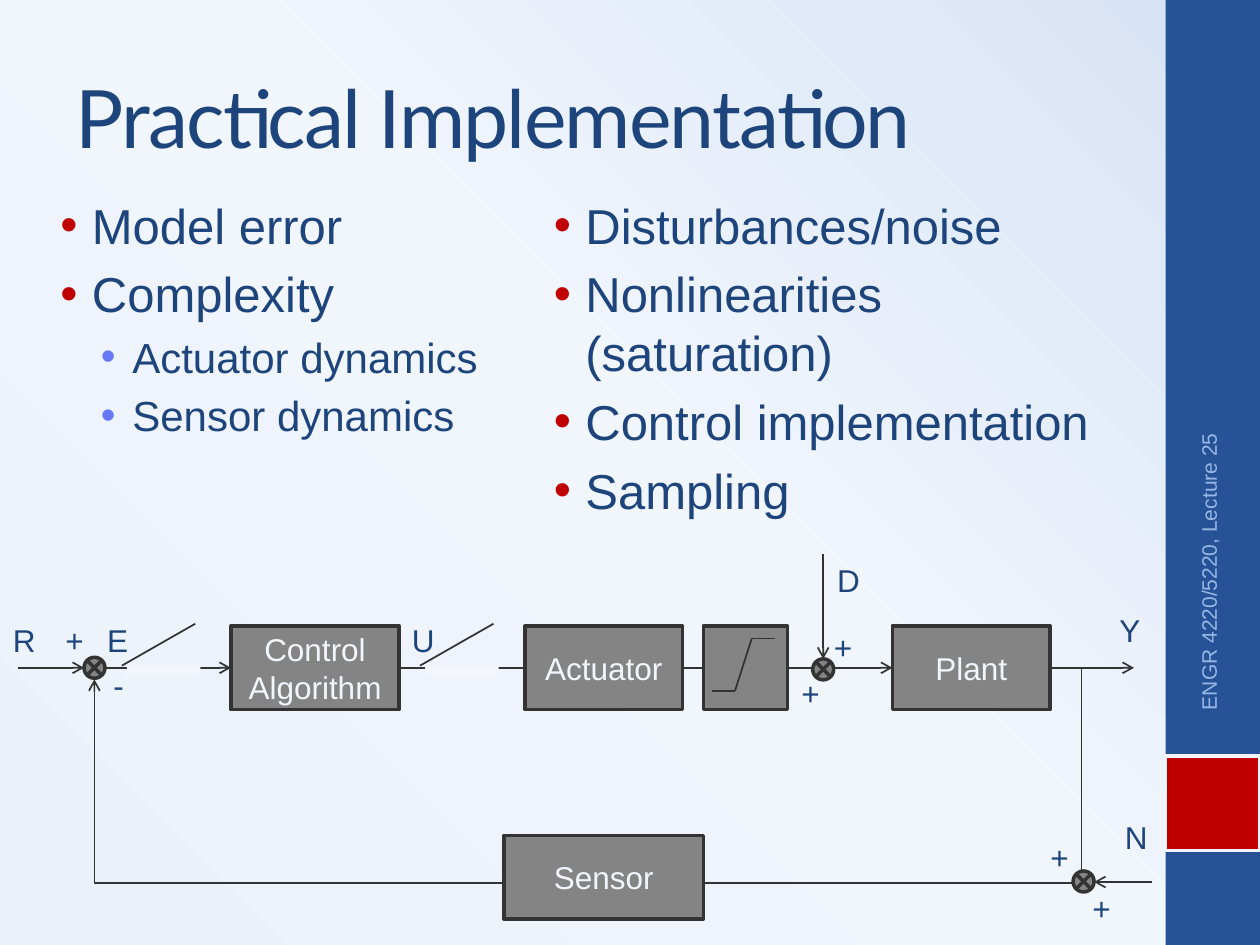
from lxml.etree import SubElement
from pptx import Presentation
from pptx.dml.color import RGBColor
from pptx.enum.shapes import MSO_CONNECTOR as CONN, MSO_SHAPE as SHAPE
from pptx.enum.text import MSO_ANCHOR as ANCHOR, MSO_AUTO_SIZE as AUTO, PP_ALIGN as ALIGN
from pptx.oxml import parse_xml
from pptx.oxml.ns import nsdecls, qn
from pptx.util import Inches, Pt

COLS, ROWS = 120, 90
MID, BOX_H = 63.6, 8
BOX_TOP = MID - BOX_H / 2
BLUE, NAVY, RED, PALE = "265397", "1E447C", "C00000", "F2F6FC"
GRAY, DARK, LILAC, SKY = "848484", "333333", "6678F5", "98B7E5"


def rgb(value):
    return RGBColor.from_string(value)


def grid(*cells):
    return [Inches(c / 12) for c in cells]


def place(sp, *cells):
    sp.left, sp.top, sp.width, sp.height = grid(*cells)


def add_run(p, text, size, color=NAVY, font="Arial"):
    r = p.add_run()
    r.text = text
    r.font.size, r.font.name = Pt(size), font
    r.font.color.rgb = rgb(color)
    return r


def set_background(s):
    fill = s.background.fill
    fill.gradient()
    grad = next(s.element.iter(qn("a:gradFill")))
    stops = "".join(
        f'<a:gs pos="{pos * 1000}"><a:srgbClr val="{color}"/></a:gs>'
        for pos, color in ((0, "EAF1FA"), (52, "F1F6FD"), (100, "D6E2F5")))
    grad.getparent().replace(grad, parse_xml(
        f'<a:gradFill {nsdecls("a")} rotWithShape="1"><a:gsLst>{stops}</a:gsLst>'
        '<a:path path="circle"><a:fillToRect t="100000" r="100000"/></a:path></a:gradFill>'))


def add_block(shapes, cells, fill, line=None, lines=(), kind=SHAPE.RECTANGLE):
    sp = shapes.add_shape(kind, *grid(*cells))
    sp.shadow.inherit = False
    sp.fill.solid()
    sp.fill.fore_color.rgb = rgb(fill)
    if line:
        sp.line.color.rgb, sp.line.width = rgb(line), Pt(2)
    else:
        sp.line.fill.background()
    tf = sp.text_frame
    tf.vertical_anchor = ANCHOR.MIDDLE
    for i, text in enumerate(lines):
        p = tf.add_paragraph() if i else tf.paragraphs[0]
        p.alignment = ALIGN.CENTER
        add_run(p, text, 18, PALE)
    return sp


def add_box(shapes, col, width, lines=(), row=BOX_TOP):
    return add_block(shapes, (col, row, width, BOX_H), GRAY, DARK, lines)


def add_junction(shapes, col, row):
    add_block(shapes, (col - 1, row - 1, 2, 2), GRAY, DARK,
              kind=SHAPE.FLOWCHART_SUMMING_JUNCTION)


def add_line(shapes, start, end, arrow=False, begin=None, finish=None, kind=CONN.STRAIGHT):
    c = shapes.add_connector(kind, *grid(*start, *end))
    if begin:
        c.begin_connect(*begin)
    if finish:
        c.end_connect(*finish)
    c.line.color.rgb, c.line.width = rgb(DARK), Pt(1)
    props = c._element.spPr
    if arrow:
        SubElement(props.find(qn("a:ln")), qn("a:tailEnd"), type="arrow")
    SubElement(props, qn("a:effectLst"))
    return c


def add_feedback(shapes, start, end, via):
    c = add_line(shapes, start, end, True, kind=CONN.ELBOW)
    geom = c._element.spPr.find(qn("a:prstGeom"))
    geom.set("prst", "bentConnector4")
    guides = geom.find(qn("a:avLst"))
    for i in (0, 1):
        share = (via[i] - start[i]) / (end[i] - start[i])
        SubElement(guides, qn("a:gd"), name=f"adj{i + 1}", fmla=f"val {round(share * 100000)}")


def add_label(shapes, text, col, row):
    tf = shapes.add_textbox(*grid(col - 2.25, row - 2.4, 4.5, 4.8)).text_frame
    tf.word_wrap = False
    tf.auto_size = AUTO.SHAPE_TO_FIT_TEXT
    p = tf.paragraphs[0]
    p.alignment = ALIGN.CENTER
    add_run(p, text, 18)


def fill_title(sp, text):
    place(sp, 6, 3.6, 100, 15)
    tf = sp.text_frame
    tf.auto_size, tf.vertical_anchor = AUTO.NONE, ANCHOR.MIDDLE
    p = tf.paragraphs[0]
    p.alignment = ALIGN.LEFT
    r = add_run(p, text, 46, font="Lato")
    r._r.get_or_add_rPr().set("spc", "-100")


def fill_list(sp, cells, items):
    place(sp, *cells)
    tf = sp.text_frame
    tf.auto_size = AUTO.NONE
    for i, (level, text) in enumerate(items):
        p = tf.add_paragraph() if i else tf.paragraphs[0]
        p.level = level
        props = p._p.get_or_add_pPr()
        props.set("marL", str(Inches((0.38, 0.7)[level])))
        props.set("indent", str(Inches(-0.25)))
        color = SubElement(props, qn("a:buClr"))
        SubElement(color, qn("a:srgbClr"), val=(RED, LILAC)[level])
        SubElement(props, qn("a:buFont"), typeface="Arial")
        SubElement(props, qn("a:buChar"), char="•")
        add_run(p, text, (28, 24)[level])


def add_course_note(shapes, text):
    sp = shapes.add_textbox(*grid(99.6, 53.2, 31, 4.8))
    sp.rotation = 270
    tf = sp.text_frame
    tf.word_wrap, tf.vertical_anchor = True, ANCHOR.MIDDLE
    p = tf.paragraphs[0]
    p.alignment = ALIGN.RIGHT
    add_run(p, text, 12, SKY)


def add_saturation(shapes):
    group = shapes.add_group_shape().shapes
    add_box(group, 67, 8)
    curve = [(67.8, 65.8), (70, 65.8), (71.6, 60.8), (73.8, 60.8)]
    for start, end in zip(curve, curve[1:]):
        add_line(group, start, end)


def add_sampler(shapes, col):
    add_line(shapes, (col, 63.4), (col + 7, 59.4))
    add_block(shapes, (col + 0.5, 63.4, 7, 1), PALE)


def add_diagram(shapes):
    control = add_box(shapes, 22, 16, ["Control", "Algorithm"])
    plant = add_box(shapes, 85, 15, ["Plant"])
    add_line(shapes, (9, MID), (22, MID), True, finish=(control, 1))
    add_line(shapes, (38, MID), (85, MID), True, (control, 3), (plant, 1))
    add_line(shapes, (100, MID), (108, MID), True, begin=(plant, 3))
    add_feedback(shapes, (100, MID), (9, 64.7), (103, 84.1))
    add_line(shapes, (1.7, MID), (8, MID), True)
    add_line(shapes, (78.4, 52.8), (78.4, 62.75), True)
    add_line(shapes, (109.7, 84), (104.2, 84), True)
    add_box(shapes, 50, 15, ["Actuator"])
    add_box(shapes, 48, 19, ["Sensor"], 79.55)
    for col, row in ((9, MID), (78.4, 63.75), (103.2, 83.95)):
        add_junction(shapes, col, row)
    for text, col, row in (
            ("R", 2.3, 61), ("+", 7.1, 61), ("E", 11.2, 61), ("-", 11.3, 65.2),
            ("U", 40.3, 61), ("D", 80.8, 55.2), ("+", 80.3, 61.6), ("+", 77.2, 66),
            ("Y", 107.6, 60), ("N", 108.2, 79.7), ("+", 100.9, 81.6), ("+", 104.9, 86.5)):
        add_label(shapes, text, col, row)
    for col in (11.6, 40):
        add_sampler(shapes, col)
    add_saturation(shapes)


def main():
    prs = Presentation()
    prs.slide_width, prs.slide_height = grid(COLS, ROWS)
    s = prs.slides.add_slide(prs.slide_layouts[3])
    set_background(s)
    add_block(s.shapes, (111, 0, 9, ROWS), BLUE)
    add_block(s.shapes, (111, 72, 9, 9), RED, PALE)
    title, left, right = s.placeholders
    fill_title(title, "Practical Implementation")
    fill_list(left, (3, 18, 55, 59.4), [
        (0, "Model error"), (0, "Complexity"),
        (1, "Actuator dynamics"), (1, "Sensor dynamics")])
    fill_list(right, (50, 18, 58, 59.4), [
        (0, "Disturbances/noise"), (0, "Nonlinearities (saturation)"),
        (0, "Control implementation"), (0, "Sampling")])
    add_course_note(s.shapes, "ENGR 4220/5220, Lecture 25")
    add_diagram(s.shapes)
    prs.save("out.pptx")


if __name__ == "__main__":
    main()
